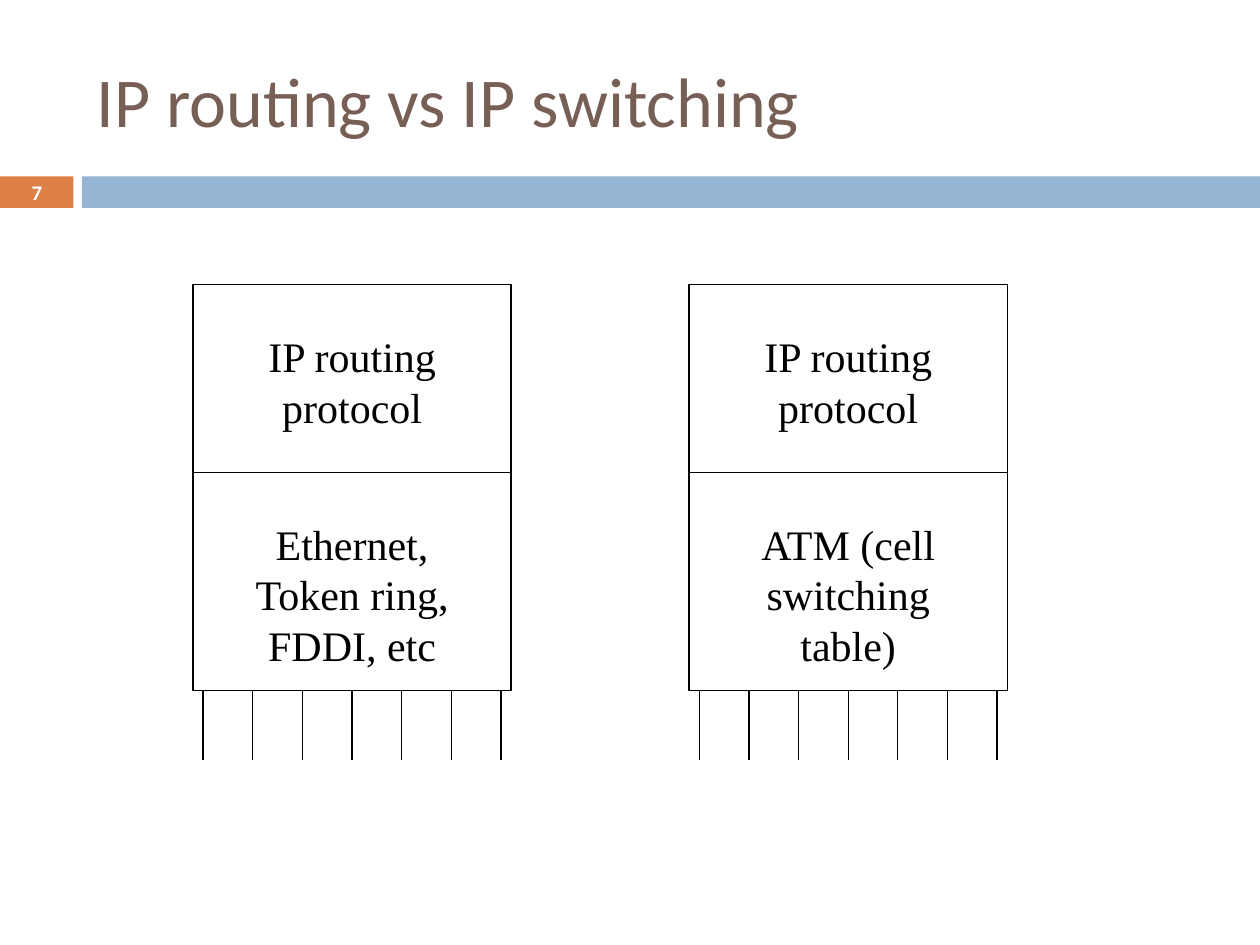
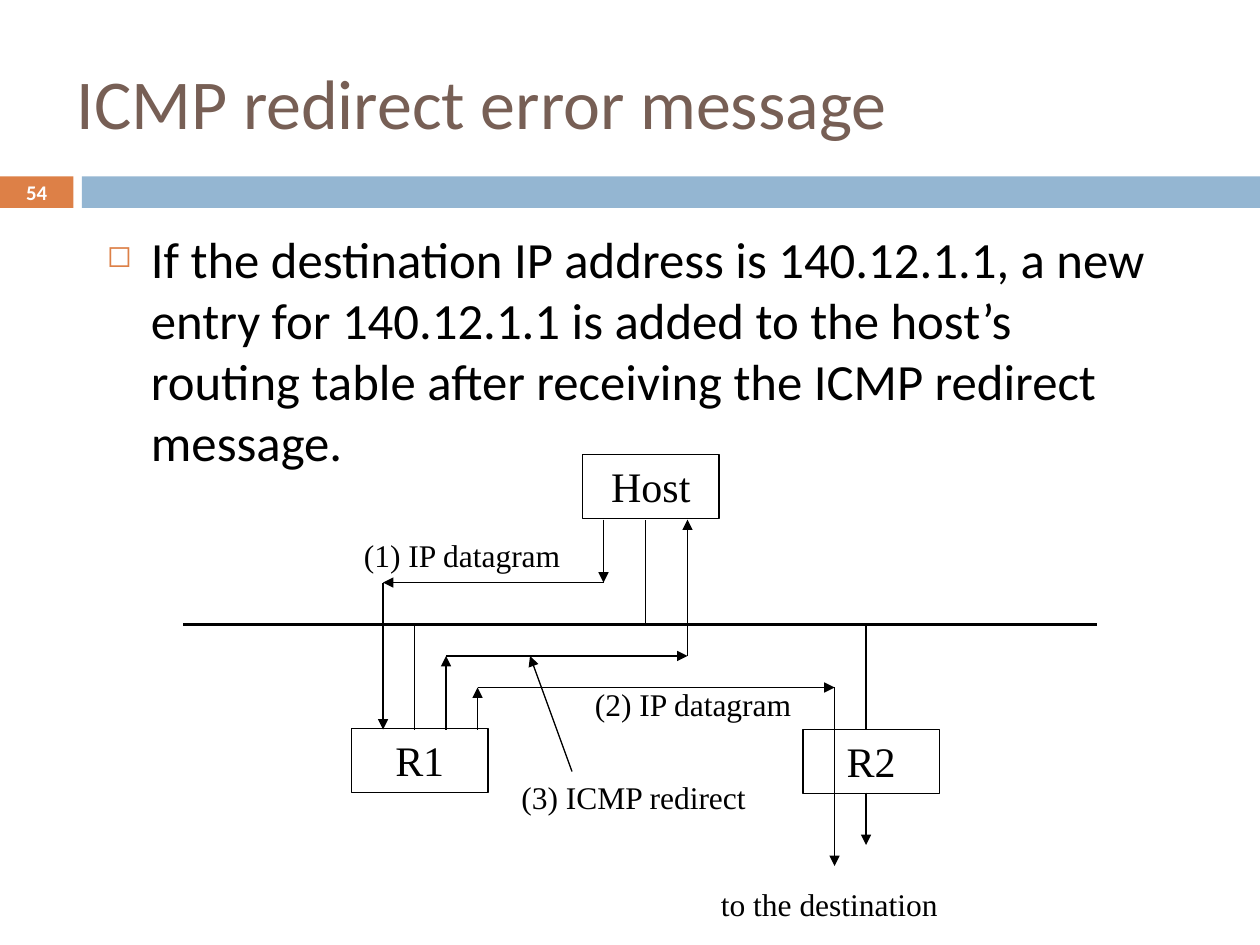
from dataclasses import dataclass
from typing import NamedTuple
from lxml.etree import SubElement as Sub
from pptx import Presentation
from pptx.dml.color import RGBColor as Rgb
from pptx.enum.shapes import MSO_CONNECTOR as Conn, MSO_SHAPE as Kind
from pptx.enum.text import MSO_ANCHOR as Anchor, PP_ALIGN as Align
from pptx.oxml.ns import qn
from pptx.util import Inches, Pt

WIDE, HIGH = 10, 7.5
CELL, EDGE = 1 / 12, 0.04  # drawing grid: step and offset in inches
HUES = {"ink": "000000", "title": "775F55", "tab": "DD8047",
        "band": "94B6D2", "white": "FFFFFF"}
SANS, SERIF = "Calibri", "Times New Roman"


class Box(NamedTuple):
    left: float
    top: float
    width: float
    height: float


@dataclass
class Style:
    size: float
    face: str = SERIF
    hue: str = "ink"
    bold: bool = False
    align: Align = Align.LEFT
    anchor: Anchor = Anchor.TOP


@dataclass
class Stack:
    col: float
    upper: str
    lower: str


@dataclass
class Label:
    col: float
    row: float
    text: str
    cols: float = 24


@dataclass
class Route:
    points: list
    arrow: bool = True
    weight: float = 0.75


HEAD = Style(40, SANS, "title", anchor=Anchor.MIDDLE)
PAGE = Style(11.9, SANS, "white", True, Align.CENTER, Anchor.MIDDLE)
BODY = Style(29, SANS)
NODE = Style(24, align=Align.CENTER)
NOTE = Style(18)


# Lengths
def spot(col: float, row: float) -> tuple:
    return EDGE + col * CELL, EDGE + row * CELL


def cells(col: float, row: float, cols: float, rows: float) -> Box:
    return Box(*spot(col, row), cols * CELL, rows * CELL)


def share(left: float, top: float, width: float, height: float) -> Box:
    """Box given in percent of the slide."""
    return Box(left * WIDE / 100, top * HIGH / 100,
               width * WIDE / 100, height * HIGH / 100)


# Drawing
def write(shape, text: str, style: Style):
    frame = shape.text_frame
    frame.word_wrap, frame.vertical_anchor = True, style.anchor
    para = frame.paragraphs[0]
    para.alignment = style.align
    run = para.add_run()
    run.text = text
    look = {"size": Pt(style.size), "name": style.face, "bold": style.bold}
    for key, value in look.items():
        setattr(run.font, key, value)
    run.font.color.rgb = Rgb.from_string(HUES[style.hue])
    return para


def label(slide, box: Box, text: str, style: Style):
    return write(slide.shapes.add_textbox(*map(Inches, box)), text, style)


def rect(slide, box: Box, fill: str = ""):
    shape = slide.shapes.add_shape(Kind.RECTANGLE, *map(Inches, box))
    shape.shadow.inherit = False
    if fill:
        shape.fill.solid()
        shape.fill.fore_color.rgb = Rgb.from_string(HUES[fill])
        shape.line.fill.background()
    else:
        shape.fill.background()
        shape.line.color.rgb = Rgb.from_string(HUES["ink"])
        shape.line.width = Pt(0.75)
    return shape


def trace(slide, route: Route) -> None:
    for start, end in zip(route.points, route.points[1:]):
        ends = map(Inches, spot(*start) + spot(*end))
        line = slide.shapes.add_connector(Conn.STRAIGHT, *ends)
        line.line.color.rgb = Rgb.from_string(HUES["ink"])
        line.line.width = Pt(route.weight)
        props = line._element.spPr
        if route.arrow:
            Sub(props.find(qn("a:ln")), qn("a:tailEnd"), type="triangle")
        Sub(props, qn("a:effectLst"))


def bullet(para) -> None:
    para.space_before = Pt(7)
    props = para._p.get_or_add_pPr()
    props.set("marL", str(Inches(0.35)))
    props.set("indent", str(-Inches(0.35)))
    tint = Sub(props, qn("a:buClr"))
    Sub(tint, qn("a:srgbClr"), val=HUES["tab"])
    Sub(props, qn("a:buSzPct"), val="60000")
    Sub(props, qn("a:buChar"), char="\u25fb")


# Shared frame: bands, title, page number
def start(deck, title: str, page: int, box: Box):
    slide = deck.slides.add_slide(deck.slide_layouts[6])
    rect(slide, share(0, 18.67, 5.83, 3.33), "tab")
    rect(slide, share(6.5, 18.67, 93.5, 3.33), "band")
    label(slide, box, title, HEAD)
    label(slide, share(0, 18.53, 5.83, 3.6), str(page), PAGE)
    return slide


# Protocol stack with its ports
TOP, SPLIT, BASE, FOOT = 26.64, 44.5, 65.32, 71.9
SPAN, PORTS, GAP, INSET = 30.3, 7, 4.73, 0.96


def pile(slide, stack: Stack) -> None:
    rect(slide, cells(stack.col, TOP, SPAN, BASE - TOP))
    trace(slide, Route([(stack.col, SPLIT), (stack.col + SPAN, SPLIT)], False))
    for row, rows, text in ((TOP, 10.8, stack.upper), (SPLIT, 15.6, stack.lower)):
        label(slide, cells(stack.col + 3.8, row + 3.8, 22.7, rows), text, NODE)
    for port in range(PORTS):
        col = stack.col + INSET + port * GAP
        trace(slide, Route([(col, BASE), (col, FOOT)], False))


STACKS = [
    Stack(17.9, "IP routing protocol", "Ethernet, Token ring, FDDI, etc"),
    Stack(65.15, "IP routing protocol", "ATM (cell switching table)"),
]

# Redirect network, in grid columns and rows
BUS, HOST, GATE = 59, 49, 69
NODES = [Label(55, 42.8, "Host"), Label(76, 69, "R2"), Label(33, 68.9, "R1")]
ROUTES = [
    Route([(17, BUS), (104, BUS)], False, 1.75),
    Route([(39, GATE), (39, BUS)], False),
    Route([(82, GATE), (82, BUS)], False),
    Route([(61, BUS), (61, HOST)], False),
    Route([(57, HOST), (57, 55), (36, 55), (36, GATE)]),
    Route([(42, GATE), (42, 62), (65, 62), (65, HOST)]),
    Route([(45, GATE), (45, 65), (79, 65), (79, 82)]),
    Route([(82, 75), (82, 80)]),
    Route([(54, 73), (50, 62)]),
]
NOTES = [
    Label(33, 50, "(1) IP datagram", 23),
    Label(55, 64.2, "(2) IP datagram", 23),
    Label(48, 73, "(3) ICMP redirect"),
    Label(67, 83.2, "to the destination"),
]
ADVICE = ("If the destination IP address is 140.12.1.1, a new entry for "
          "140.12.1.1 is added to the host\u2019s routing table after "
          "receiving the ICMP redirect message.")

deck = Presentation()
deck.slide_width, deck.slide_height = Inches(WIDE), Inches(HIGH)

# Slide: routing and switching
slide = start(deck, "IP routing vs IP switching", 7,
              share(6.7, 3.33, 89.2, 14.4))
for stack in STACKS:
    pile(slide, stack)

# Slide: redirect message
slide = start(deck, "ICMP redirect error message", 54, share(5.1, 8, 85, 5.47))
bullet(label(slide, share(7.5, 23.47, 85, 71.6), ADVICE, BODY))
for node in NODES:
    write(rect(slide, cells(node.col, node.row, 13, 6.1)), node.text, NODE)
for route in ROUTES:
    trace(slide, route)
for note in NOTES:
    label(slide, cells(note.col, note.row, note.cols, 4.8), note.text, NOTE)

deck.save("out.pptx")
